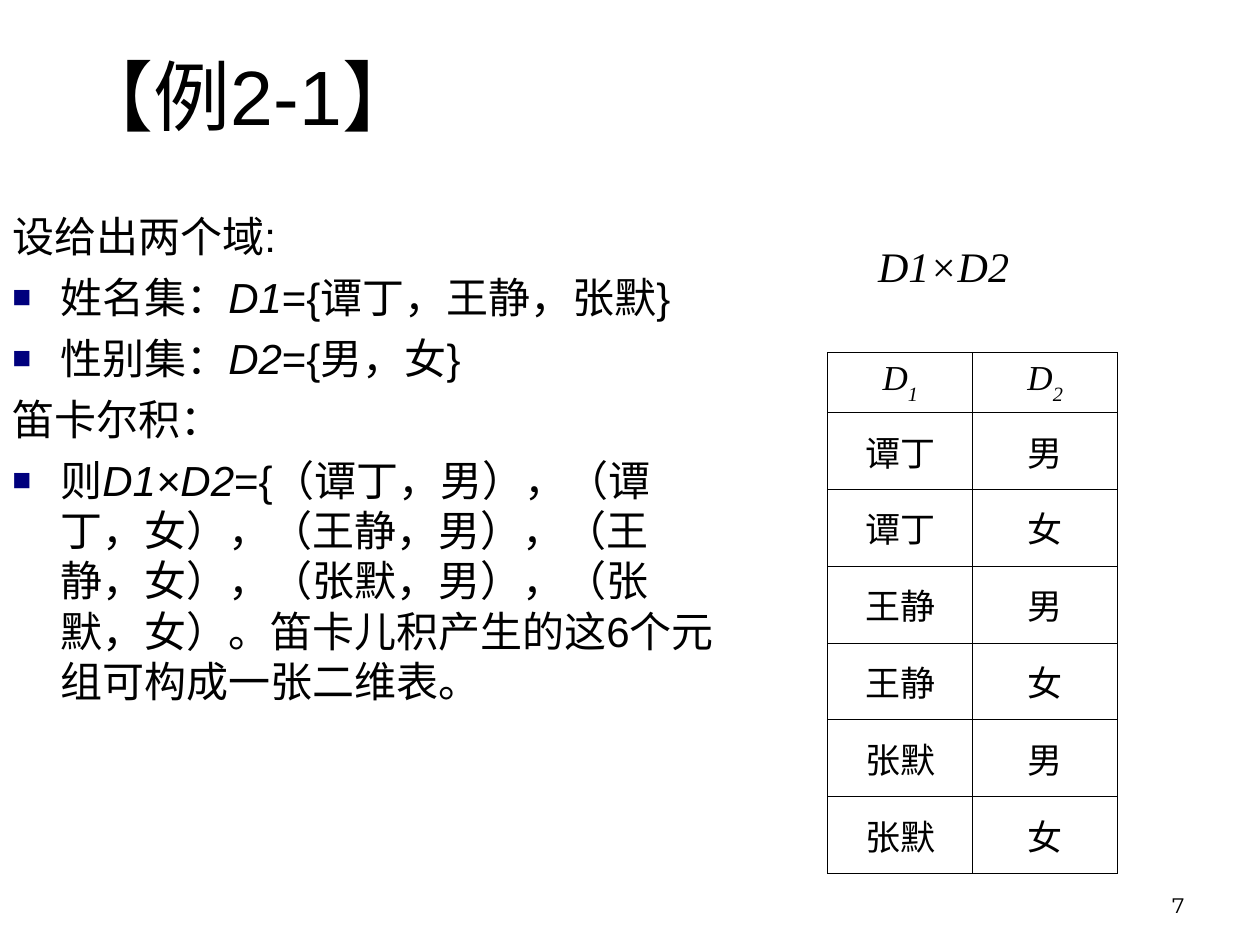
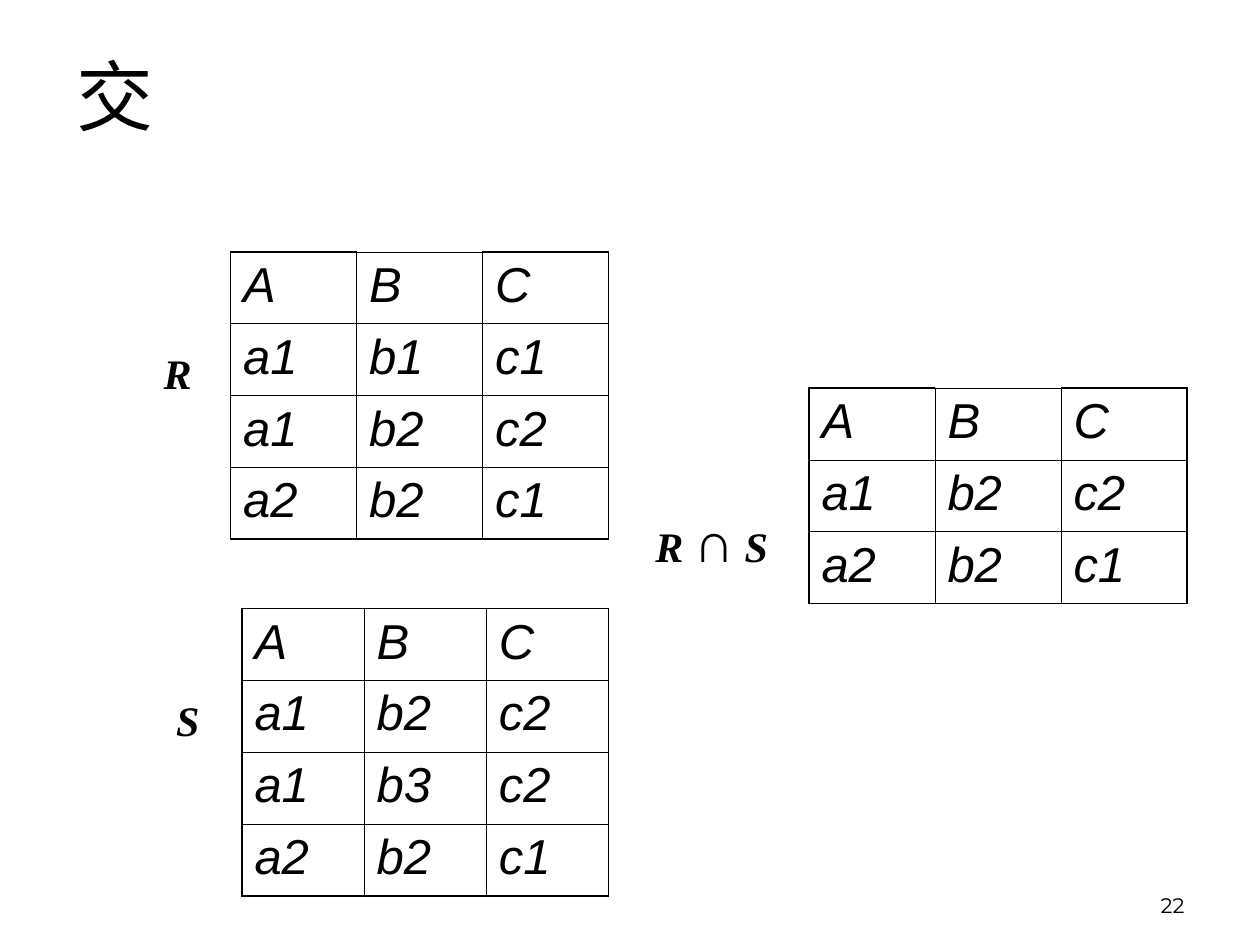
from lxml import etree
from pptx import Presentation
from pptx import util as u
from pptx.dml.color import RGBColor
from pptx.enum import text
from pptx.oxml import ns

COLORS = {"ink": "000000", "paper": "FFFFFF", "bullet": "00007D"}
SANS, SERIF, NUMBER = "Arial", "Times New Roman", "Montserrat"
THIN, THICK = 0.45, 1.08
LEFT, CENTER, RIGHT = text.PP_ALIGN.LEFT, text.PP_ALIGN.CENTER, text.PP_ALIGN.RIGHT
TOP, MIDDLE, BOTTOM = text.MSO_ANCHOR.TOP, text.MSO_ANCHOR.MIDDLE, text.MSO_ANCHOR.BOTTOM

deck = Presentation()
deck.slide_width, deck.slide_height = u.Inches(10), u.Inches(7.5)


def add_spans(para, spans, size, font, align=LEFT):
    """Spans are (words, style); style holds b (bold), i (italic), s (subscript)."""
    para.alignment = align
    for words, style in spans:
        span = para.add_run()
        span.text = words
        span.font.name, span.font.size = font, u.Pt(size)
        span.font.bold, span.font.italic = "b" in style, "i" in style
        span.font.color.rgb = RGBColor.from_string(COLORS["ink"])
        if "s" in style:
            span.font._element.set("baseline", "-30000")


def add_grid(page, left, top, widths, heights, rows, size, font, align, anchor, framed):
    """Rows hold lists of spans; framed draws a thick edge except over the middle column."""
    frame = page.shapes.add_table(len(rows), len(widths), u.Inches(left), u.Inches(top),
                                  u.Inches(sum(widths)), u.Inches(sum(heights)))
    table = frame.table
    table.first_row = table.horz_banding = False
    for column, width in zip(table.columns, widths):
        column.width = u.Inches(width)
    for row, height in zip(table.rows, heights):
        row.height = u.Inches(height)
    last_row, last_column = len(rows) - 1, len(widths) - 1
    for r, row in enumerate(rows):
        for c, spans in enumerate(row):
            cell = table.cell(r, c)
            cell.vertical_anchor = anchor
            if len(spans) > 1:  # a subscript makes the line taller
                cell.margin_top = cell.margin_bottom = u.Inches(0.04)
            add_spans(cell.text_frame.paragraphs[0], spans, size, font, align)
            edges = {"lnL": c == 0, "lnR": c == last_column,
                     "lnT": r == 0 and c in (0, last_column), "lnB": r == last_row}
            properties = cell._tc.get_or_add_tcPr()
            for tag, outer in edges.items():
                width = THICK if framed and outer else THIN
                line = etree.SubElement(properties, ns.qn("a:" + tag), w=str(u.Pt(width)))
                paint = etree.SubElement(line, ns.qn("a:solidFill"))
                etree.SubElement(paint, ns.qn("a:srgbClr"), val=COLORS["ink"])
            cell.fill.background()


# Shared background, title and page number; labels beside the tables
pages = []
slides = [
    ("【例2-1】", "7", [((6.87, 1.86, 1.32, 0.5), TOP, [("D1×D2 ", "i")])]),
    ("交", "22", [((1.11, 2.5, 0.6, 0.92), MIDDLE, [("R", "bi")]),
                 ((1.19, 5.25, 0.6, 0.92), MIDDLE, [("S", "bi")]),
                 ((4.99, 3.83, 1.4, 0.92), MIDDLE, [("R ", "bi"), ("∩", "b"), (" S ", "bi")])]),
]
for title, number, labels in slides:
    page = deck.slides.add_slide(deck.slide_layouts[6])
    page.background.fill.solid()
    page.background.fill.fore_color.rgb = RGBColor.from_string(COLORS["paper"])
    pages.append(page)
    boxes = [((7.17, 6.83, 2.33, 0.5), BOTTOM, [(number, "")], 12, NUMBER, RIGHT, True),
             ((0.51, 0, 9, 1.5), MIDDLE, [(title, "")], 44, SANS, LEFT, True)]
    boxes += [(*label, 24, SERIF, CENTER, False) for label in labels]
    for place, anchor, spans, size, font, align, wrap in boxes:
        box = page.shapes.add_textbox(*map(u.Inches, place))
        box.text_frame.word_wrap = wrap
        box.text_frame.vertical_anchor = anchor
        para = box.text_frame.paragraphs[0]
        add_spans(para, spans, size, font, align)
        for span in para.runs:
            if span.text == "∩":
                span.font.size = u.Pt(32)
product_page, intersection_page = pages

# Cartesian product: explanation
explanation = [
    (False, [("设给出两个域:", "")]),
    (True, [("姓名集：", ""), ("D1", "i"), ("={谭丁，王静，张默}", "")]),
    (True, [("性别集：", ""), ("D2", "i"), ("={男，女}", "")]),
    (False, [("笛卡尔积：", "")]),
    (True, [("则", ""), ("D1×D2", "i"),
            ("={（谭丁，男），（谭丁，女），（王静，男），（王静，女），（张默，男），（张默，女）。"
             "笛卡儿积产生的这6个元组可构成一张二维表。", "")]),
]
box = product_page.shapes.add_textbox(u.Inches(0), u.Inches(1.62), u.Inches(5.79), u.Inches(4.79))
box.text_frame.word_wrap = True
for index, (bulleted, spans) in enumerate(explanation):
    para = box.text_frame.add_paragraph() if index else box.text_frame.paragraphs[0]
    if index:
        para.space_before = u.Pt(6)
    properties = para._p.get_or_add_pPr()
    properties.set("marL", str(u.Inches(0.38)))
    properties.set("indent", str(u.Inches(-0.38)))
    properties.set("hangingPunct", "0")
    if bulleted:
        color = etree.SubElement(properties, ns.qn("a:buClr"))
        etree.SubElement(color, ns.qn("a:srgbClr"), val=COLORS["bullet"])
        etree.SubElement(properties, ns.qn("a:buSzPct"), val="75000")
        etree.SubElement(properties, ns.qn("a:buFont"), typeface=SANS)
        etree.SubElement(properties, ns.qn("a:buChar"), char="■")
    add_spans(para, spans, 24, SANS)

# Cartesian product: every name paired with every gender
product_rows = [[[("D", "i"), (index, "is")] for index in "12"]]
product_rows += [[[(name, "")], [(gender, "")]]
                 for name in ("谭丁", "王静", "张默") for gender in "男女"]
add_grid(product_page, 6.57, 2.8, [1.15] * 2, [0.47] + [0.61] * 6, product_rows,
         20, SERIF, CENTER, MIDDLE, False)

# Intersection: relations R, R ∩ S and S
relations = [
    (1.83, 2, 1, ["A B C", "a1 b1 c1", "a1 b2 c2", "a2 b2 c1"]),
    (6.42, 3.08, 1, ["A B C", "a1 b2 c2", "a2 b2 c1"]),
    (1.92, 4.83, 0.97, ["A B C", "a1 b2 c2", "a1 b3 c2", "a2 b2 c1"]),
]
for left, top, width, tuples in relations:
    rows = [[[(value, "i")] for value in line.split()] for line in tuples]
    add_grid(intersection_page, left, top, [width] * 3, [0.57] * len(rows), rows,
             28, SANS, LEFT, TOP, True)

deck.save("out.pptx")
